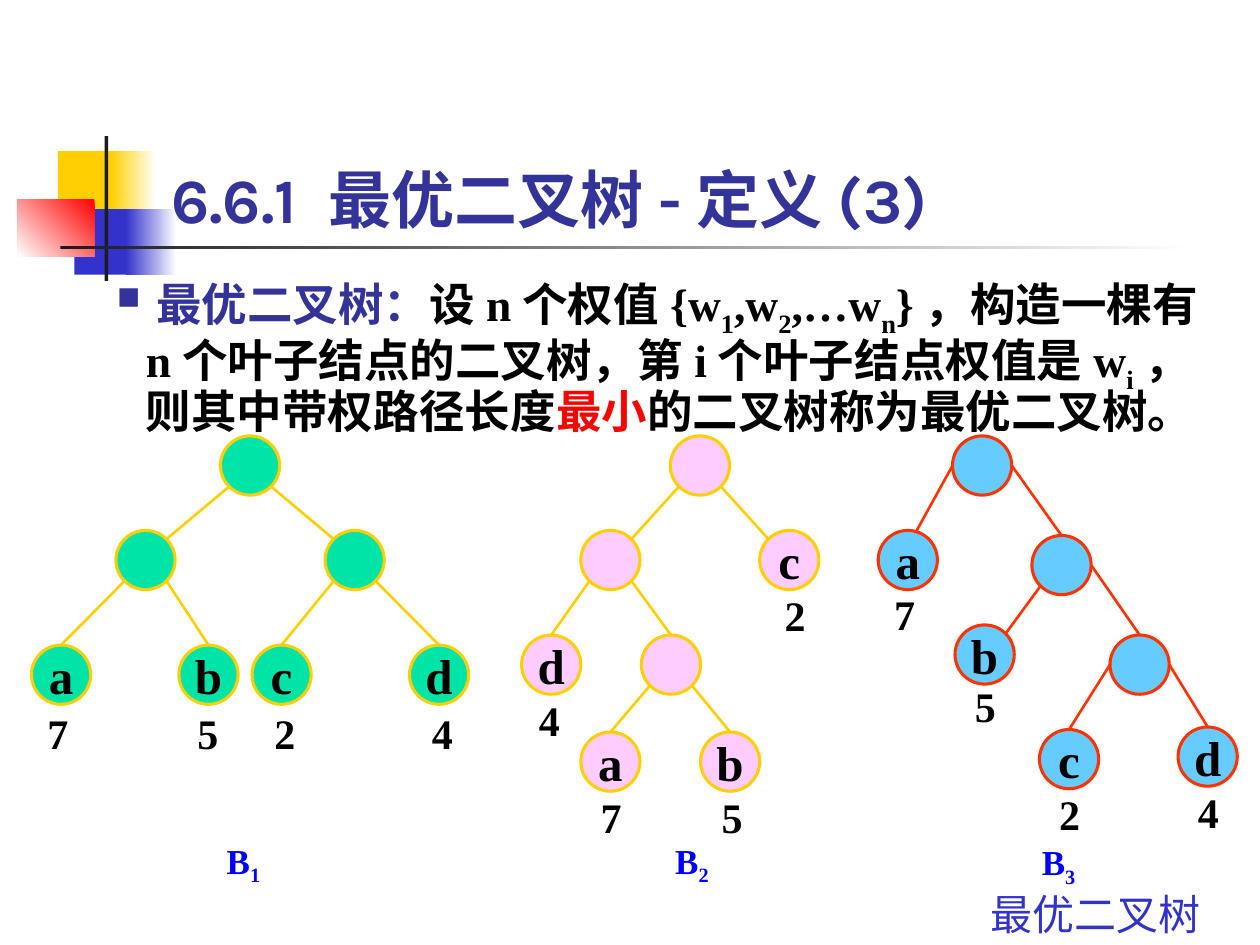
from lxml import etree
from pptx import Presentation
from pptx.dml.color import RGBColor
from pptx.enum.shapes import MSO_CONNECTOR, MSO_SHAPE
from pptx.enum.text import MSO_ANCHOR, PP_ALIGN
from pptx.oxml.ns import qn
from pptx.util import Inches, Pt

RECT, OVAL = MSO_SHAPE.RECTANGLE, MSO_SHAPE.OVAL
STRAIGHT = MSO_CONNECTOR.STRAIGHT
LEFT, CENTER = PP_ALIGN.LEFT, PP_ALIGN.CENTER
TOP, MIDDLE, BOTTOM = MSO_ANCHOR.TOP, MSO_ANCHOR.MIDDLE, MSO_ANCHOR.BOTTOM

BLACK = RGBColor(0x00, 0x00, 0x00)
WHITE = RGBColor(0xFF, 0xFF, 0xFF)
CHARCOAL = RGBColor(0x1C, 0x1C, 0x1C)
YELLOW = RGBColor(0xFF, 0xCF, 0x01)
INDIGO = RGBColor(0x33, 0x33, 0xCC)
NAVY = RGBColor(0x33, 0x33, 0x99)
BLUE = RGBColor(0x00, 0x00, 0xFF)
RED = RGBColor(0xFF, 0x00, 0x00)
KEY_RED = RGBColor(0xF2, 0x08, 0x02)
GREEN = RGBColor(0x00, 0xE4, 0xA8)
PINK = RGBColor(0xFF, 0xCC, 0xFF)
SKY = RGBColor(0x66, 0xCC, 0xFF)
ORANGE = RGBColor(0xFF, 0x33, 0x00)

NODE = 0.47
# Points on a node's rim, in radii from its centre
RIM = {"T": (0, -1), "L": (-1, 0), "R": (1, 0), "TL": (-0.71, -0.71),
       "TR": (0.71, -0.71), "BL": (-0.71, 0.71), "BR": (0.71, 0.71),
       "T+": (0.28, -0.96)}

# Nodes: key -> left, top; leaves: key -> weight, label left, label top
# Edges: parent, rim point, child, rim point
TREES = [
    dict(fill=GREEN, line=YELLOW, number="1", caption=(1.7, 6.61),
         nodes={"root": (1.75, 3.46), "left": (0.92, 4.21), "right": (2.58, 4.21),
                "a": (0.25, 5.12), "b": (1.42, 5.12), "c": (2, 5.12), "d": (3.25, 5.12)},
         leaves={"a": ("7", 0.25, 5.57), "b": ("5", 1.44, 5.57),
                 "c": ("2", 2.05, 5.57), "d": ("4", 3.3, 5.57)},
         edges=[("root", "BL", "left", "TR"), ("root", "BR", "right", "TL"),
                ("left", "BL", "a", "T"), ("left", "BR", "b", "T"),
                ("right", "BL", "c", "T"), ("right", "BR", "d", "T")]),
    dict(fill=PINK, line=YELLOW, number="2", caption=(5.26, 6.61),
         nodes={"root": (5.32, 3.46), "left": (4.61, 4.21), "inner": (5.09, 5.04),
                "a": (4.61, 5.81), "b": (5.56, 5.81), "c": (6.03, 4.21), "d": (4.14, 5.04)},
         leaves={"a": ("7", 4.64, 6.23), "b": ("5", 5.6, 6.23),
                 "c": ("2", 6.1, 4.63), "d": ("4", 4.15, 5.46)},
         edges=[("root", "BL", "left", "TR"), ("root", "BR", "c", "TL"),
                ("left", "BL", "d", "T"), ("left", "BR", "inner", "T"),
                ("inner", "BL", "a", "T"), ("inner", "BR", "b", "T")]),
    dict(fill=SKY, line=ORANGE, number="3", caption=(8.17, 6.62),
         nodes={"root": (7.56, 3.46), "right": (8.19, 4.25), "inner": (8.81, 5.04),
                "a": (6.97, 4.21), "b": (7.58, 4.96), "c": (8.25, 5.79), "d": (9.35, 5.77)},
         leaves={"a": ("7", 6.97, 4.62), "b": ("5", 7.61, 5.35),
                 "c": ("2", 8.28, 6.21), "d": ("4", 9.38, 6.19)},
         edges=[("root", "L", "a", "T+"), ("root", "R", "right", "T"),
                ("right", "BL", "b", "TR"), ("right", "R", "inner", "T"),
                ("inner", "L", "c", "T"), ("inner", "R", "d", "T")]),
]


class Deck:
    font = "Times New Roman"

    def __init__(self, slide):
        self.s = slide

    def shape(self, kind, x, y, w, h, fill):
        sp = self.s.shapes.add_shape(kind, Inches(x), Inches(y), Inches(w), Inches(h))
        sp.shadow.inherit = False
        sp.line.fill.background()
        sp.fill.solid()
        sp.fill.fore_color.rgb = fill
        return sp

    def fade(self, x, y, w, h, start, end, angle=0):
        sp = self.shape(RECT, x, y, w, h, start)
        sp.fill.gradient()
        sp.fill.gradient_angle = angle
        for stop, color in zip(sp.fill.gradient_stops, (start, end)):
            stop.color.rgb = color

    def add_runs(self, p, runs, size, bold=True, font=None):
        """Runs are (text, colour) or (text, colour, True) for a subscript."""
        p.font.name, p.font.size, p.font.bold = font or self.font, Pt(size), bold
        for text, color, *sub in runs:
            r = p.add_run()
            r.text = text
            r.font.name, r.font.size, r.font.bold = font or self.font, Pt(size), bold
            r.font.color.rgb = color
            if sub:
                r._r.get_or_add_rPr().set("baseline", "-25000")

    def text(self, x, y, w, h, runs, size, align=LEFT, anchor=TOP, **style):
        box = self.s.shapes.add_textbox(Inches(x), Inches(y), Inches(w), Inches(h))
        tf = box.text_frame
        tf.word_wrap = True
        tf.vertical_anchor = anchor
        p = tf.paragraphs[0]
        p.alignment = align
        self.add_runs(p, runs, size, **style)
        return p

    def bullet(self, p, char, color, percent, indent):
        pPr = p._p.get_or_add_pPr()
        pPr.set("marL", str(Inches(indent)))
        pPr.set("indent", str(-Inches(indent)))
        clr = etree.Element(qn("a:buClr"))
        etree.SubElement(clr, qn("a:srgbClr"), val=str(color))
        size = etree.Element(qn("a:buSzPct"), val=str(percent * 1000))
        mark = etree.Element(qn("a:buChar"), char=char)
        at = 1 if pPr.find(qn("a:lnSpc")) is not None else 0
        for i, el in enumerate((clr, size, mark)):
            pPr.insert(at + i, el)

    def node(self, x, y, fill, line, label):
        sp = self.shape(OVAL, x, y, NODE, NODE, fill)
        sp.line.color.rgb = line
        sp.line.width = Pt(1.75)
        if label:
            tf = sp.text_frame
            tf.word_wrap = False
            tf.vertical_anchor = MIDDLE
            p = tf.paragraphs[0]
            p.alignment = CENTER
            self.add_runs(p, [(label, BLACK)], 28)

    def edge(self, start, end, color):
        c = self.s.shapes.add_connector(STRAIGHT, *(Inches(v) for v in start + end))
        c.line.color.rgb = color
        c.line.width = Pt(1.5)
        etree.SubElement(c._element.spPr, qn("a:effectLst"))

    def tree(self, fill, line, number, caption, nodes, leaves, edges):
        def rim(key, side):
            return tuple(v + NODE / 2 * (1 + d) for v, d in zip(nodes[key], RIM[side]))

        for key, (x, y) in nodes.items():
            self.node(x, y, fill, line, key if key in leaves else "")
        for parent, start, child, end in edges:
            self.edge(rim(parent, start), rim(child, end), line)
        for weight, x, y in leaves.values():
            self.text(x, y, 0.42, 0.5, [(weight, BLACK)], 24, CENTER)
        self.text(*caption, 0.61, 0.48, [("B", BLUE), (number, BLUE, True)], 20)


def main():
    prs = Presentation()
    prs.slide_width, prs.slide_height = Inches(10), Inches(7.5)
    deck = Deck(prs.slides.add_slide(prs.slide_layouts[6]))

    # Corner ornament and rule
    deck.shape(RECT, 0.46, 1.2, 0.48, 0.52, YELLOW)
    deck.fade(0.88, 1.2, 0.36, 0.52, YELLOW, WHITE)
    deck.shape(RECT, 0.59, 1.66, 0.46, 0.52, INDIGO)
    deck.fade(1, 1.66, 0.4, 0.52, INDIGO, WHITE)
    deck.fade(0.14, 1.58, 0.61, 0.46, RED, WHITE, 225)
    deck.shape(RECT, 0.83, 1.08, 0.03, 1.15, CHARCOAL)
    deck.fade(0.48, 1.95, 9, 0.03, CHARCOAL, WHITE)

    # Title and definition
    deck.text(1.26, 0.67, 8.52, 1.25, [("6.6.1 最优二叉树-定义(3)", NAVY)], 36,
              anchor=BOTTOM, font="Karla")
    p = deck.text(0.83, 2.15, 9.01, 1.38, [
        (" 最优二叉树：", NAVY), ("设n个权值{w", BLACK), ("1", BLACK, True),
        (",w", BLACK), ("2", BLACK, True), (",…w", BLACK), ("n", BLACK, True),
        ("}，构造一棵有n个叶子结点的二叉树，第i个叶子结点权值是w", BLACK),
        ("i", BLACK, True), ("，则其中带权路径长度", BLACK),
        ("最小", KEY_RED), ("的二叉树称为最优二叉树。", BLACK)], 26)
    p.line_spacing = 0.9
    deck.bullet(p, "■", NAVY, 70, 0.23)

    # Three trees with the same leaves
    for tree in TREES:
        deck.tree(**tree)

    # Footer
    deck.text(7.76, 7, 2.05, 0.5, [("最优二叉树", INDIGO)], 24, bold=False)
    prs.save("out.pptx")


if __name__ == "__main__":
    main()
